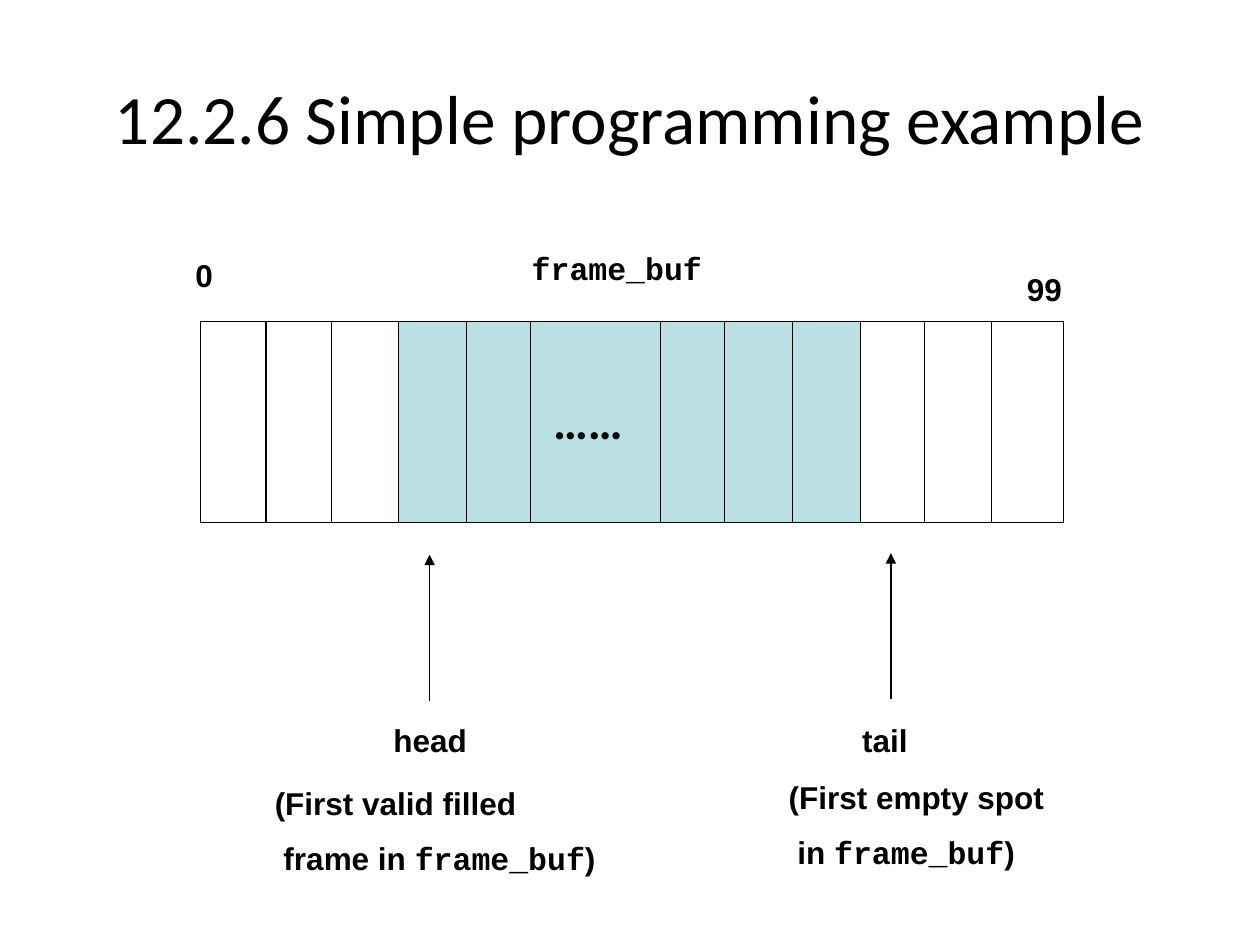
from dataclasses import dataclass

from lxml import etree
from pptx import Presentation
from pptx.dml.color import RGBColor
from pptx.enum.shapes import MSO_CONNECTOR, MSO_SHAPE
from pptx.enum.text import MSO_ANCHOR, PP_ALIGN
from pptx.oxml.ns import qn
from pptx.util import Cm, Pt

RECTANGLE = MSO_SHAPE.RECTANGLE
STRAIGHT = MSO_CONNECTOR.STRAIGHT
CENTER = PP_ALIGN.CENTER
MIDDLE = MSO_ANCHOR.MIDDLE
TOP = MSO_ANCHOR.TOP
TITLE_ONLY = 5


@dataclass(frozen=True)
class Theme:
    ink: RGBColor = RGBColor(0x00, 0x00, 0x00)
    filled: RGBColor = RGBColor(0xBB, 0xE0, 0xE3)
    title_font: str = "Calibri"
    label_font: str = "Arial"
    code_font: str = "Courier New"
    title_size: float = 39.6
    label_size: float = 18
    dots_size: float = 28
    line: float = 0.75
    space_after: float = 10


class SlideBuilder:
    """Draws styled elements on the current slide."""

    def __init__(self, prs, theme):
        self.theme = theme
        self.s = prs.slides.add_slide(prs.slide_layouts[TITLE_ONLY])

    def format_run(self, r, font, size, bold):
        r.font.name = font
        r.font.size = Pt(size)
        r.font.bold = bold
        r.font.color.rgb = self.theme.ink

    def title(self, text, x, y, w, h):
        sp = self.s.shapes.title
        sp.left, sp.top, sp.width, sp.height = Cm(x), Cm(y), Cm(w), Cm(h)
        tf = sp.text_frame
        tf.text = text
        tf.vertical_anchor = MIDDLE
        p = tf.paragraphs[0]
        p.alignment = CENTER
        self.format_run(p.runs[0], self.theme.title_font, self.theme.title_size, False)

    def box(self, x, y, w, h, fill=None):
        sp = self.s.shapes.add_shape(RECTANGLE, Cm(x), Cm(y), Cm(w), Cm(h))
        sp.shadow.inherit = False
        if fill is None:
            sp.fill.background()
        else:
            sp.fill.solid()
            sp.fill.fore_color.rgb = fill
        sp.line.color.rgb = self.theme.ink
        sp.line.width = Pt(self.theme.line)

    def vertical(self, x, top, bottom, arrow=False):
        sp = self.s.shapes.add_connector(STRAIGHT, Cm(x), Cm(top), Cm(x), Cm(bottom))
        sp.line.color.rgb = self.theme.ink
        sp.line.width = Pt(self.theme.line)
        if arrow:
            ln = sp.line._get_or_add_ln()
            etree.SubElement(ln, qn("a:headEnd"), type="triangle")
        etree.SubElement(sp._element.spPr, qn("a:effectLst"))

    def label(self, lines, x, y, w, h, font=None, size=None):
        sp = self.s.shapes.add_textbox(Cm(x), Cm(y), Cm(w), Cm(h))
        tf = sp.text_frame
        tf.word_wrap = True
        tf.vertical_anchor = TOP
        tf.margin_left = tf.margin_right = Cm(0.18)
        tf.margin_top = tf.margin_bottom = Cm(0.08)
        tf.text = "\n".join(lines)
        for p in tf.paragraphs:
            p.space_after = Pt(self.theme.space_after)
            for r in p.runs:
                self.format_run(r, font or self.theme.label_font,
                                size or self.theme.label_size, True)
        return tf

    def note(self, first, lead, code, x, y, w, h):
        p = self.label([first, lead], x, y, w, h).paragraphs[1]
        for text, font in ((code, self.theme.code_font), (")", self.theme.label_font)):
            r = p.add_run()
            r.text = text
            self.format_run(r, font, self.theme.label_size, True)


def main():
    prs = Presentation()
    prs.slide_width, prs.slide_height = Cm(25.4), Cm(19.05)
    theme = Theme()
    b = SlideBuilder(prs, theme)
    b.title("12.2.6 Simple programming example", 1.27, 0.76, 22.86, 3.18)

    left, right, top, height = 4.04, 21.44, 6.48, 4.06
    dividers = [5.36, 6.68, 8.03, 9.4, 10.69, 13.31, 14.61, 15.98, 17.35, 18.64, 19.99]
    first_filled, first_empty = dividers[2], dividers[8]
    b.box(first_filled, top, first_empty - first_filled, height, theme.filled)
    b.box(left, top, right - left, height)
    for x in dividers:
        b.vertical(x, top, top + height)
    b.label(["……"], 10.97, 7.8, 2.01, 1.14, theme.title_font, theme.dots_size)

    for x, y in ((8.66, 11.18), (17.96, 11.15)):
        b.vertical(x, y, y + 2.95, arrow=True)

    line_height = 0.97
    b.label(["head"], 7.75, 14.45, 2.18, line_height)
    b.label(["tail"], 17.2, 14.45, 1.7, line_height)
    b.note("(First valid filled", " frame in ", "frame_buf", 5.36, 15.72, 7.62, 1.63)
    b.note("(First empty spot", " in ", "frame_buf", 15.72, 15.6, 6.15, 1.63)
    b.label(["0"], 3.76, 5.08, 1.19, line_height)
    b.label(["99"], 20.52, 5.36, 1.35, line_height)
    b.label(["frame_buf"], 10.54, 4.95, 4.04, line_height, theme.code_font)

    prs.save("out.pptx")


if __name__ == "__main__":
    main()
